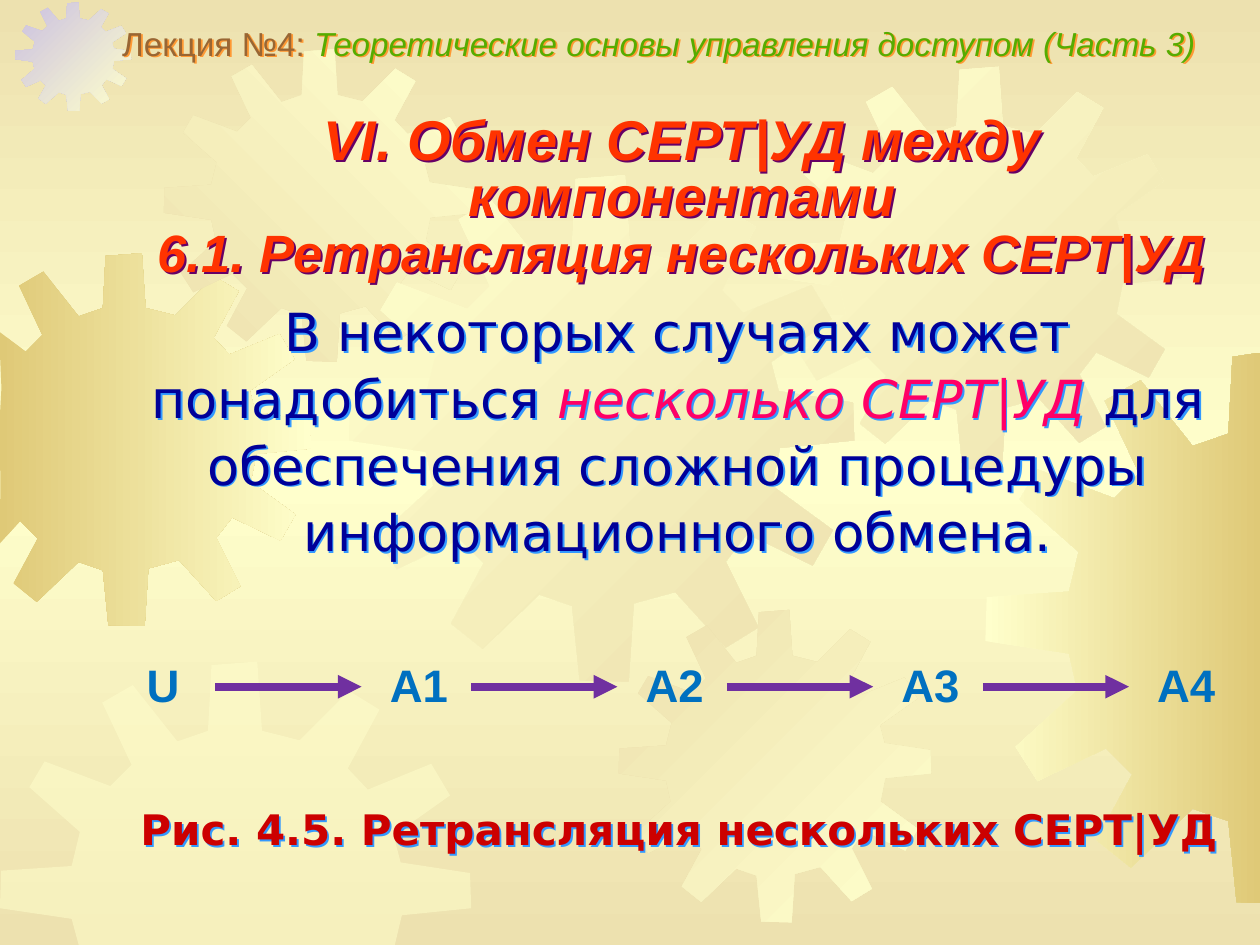
from copy import deepcopy

from lxml.etree import SubElement
from pptx import Presentation
from pptx.dml.color import RGBColor
from pptx.enum.shapes import MSO_CONNECTOR
from pptx.enum.text import MSO_ANCHOR, MSO_AUTO_SIZE, PP_ALIGN
from pptx.oxml.ns import qn
from pptx.util import Inches, Pt

SLIDE_W, SLIDE_H = 10, 7.5

SAND = RGBColor(0xED, 0xE1, 0xAF)
CREAM = RGBColor(0xFF, 0xFF, 0xCC)
GOLD = RGBColor(0xDF, 0xC9, 0x77)
LILAC = RGBColor(0xCA, 0xC0, 0xE2)
NAVY = RGBColor(0x00, 0x00, 0x99)
PINK = RGBColor(0xFF, 0x00, 0x66)
ORANGE_RED = RGBColor(0xFF, 0x33, 0x00)
BROWN = RGBColor(0x99, 0x66, 0x33)
GREEN = RGBColor(0x56, 0xAC, 0x00)
BLUE = RGBColor(0x00, 0x70, 0xC0)
PURPLE = RGBColor(0x70, 0x30, 0xA0)
RED = RGBColor(0xCC, 0x00, 0x00)
PLUM_SHADOW = RGBColor(0x66, 0x00, 0x66)
BLUE_SHADOW = RGBColor(0x33, 0x99, 0xFF)
ORANGE_SHADOW = RGBColor(0xFF, 0x99, 0x33)

GEAR_SIZE = 401
GEAR_OUTLINE = [
    (255, 67), (223, 59), (219, 0), (180, 3), (177, 59), (151, 68),
    (113, 20), (87, 35), (112, 88), (94, 106), (38, 85), (25, 107),
    (68, 145), (61, 174), (1, 178), (0, 210), (61, 219), (67, 246),
    (22, 287), (38, 312), (88, 288), (107, 307), (81, 355), (106, 375),
    (151, 332), (177, 341), (183, 400), (222, 401), (226, 339), (259, 330),
    (299, 374), (325, 358), (299, 306), (316, 284), (368, 309), (384, 281),
    (336, 246), (342, 216), (401, 210), (400, 180), (341, 171), (335, 148),
    (383, 114), (367, 87), (313, 109), (296, 91), (323, 41), (297, 25),
]
GEARS = [
    ((-0.49, 2.01, 2.96, 2.96), (GOLD, CREAM), 0),
    ((0.12, 0.02, 0.92, 0.86), (LILAC, CREAM), 45),
    ((1.3, 0.39, 2.48, 2.48), (SAND, CREAM), 315),
    ((2.77, 1.39, 4.01, 4.02), (CREAM, SAND), 45),
    ((0, 5.25, 3.74, 3.74), (CREAM,), 0),
    ((4.91, 4.84, 2.48, 2.48), (SAND, CREAM), 45),
    ((6.18, 0.53, 3.2, 3.2), (CREAM, SAND), 45),
    ((7.82, 2.8, 4.37, 4.37), (CREAM, GOLD), 0),
]


def set_gradient(fill, colors, angle):
    fill.gradient()
    fill.gradient_angle = (360 - angle) % 360
    for stop, color in zip(fill.gradient_stops, colors):
        stop.color.rgb = color


def paint_background(slide):
    fill = slide.background.fill
    set_gradient(fill, (SAND, CREAM), 90)
    stops = slide._element.find(".//" + qn("a:gsLst"))
    stops.append(deepcopy(stops[0]))
    stops[1].set("pos", "50000")
    stops[2].set("pos", "100000")


def add_gear(shapes, box, colors, angle):
    left, top, width, height = box
    points = [
        (Inches(min(max(left + x * width / GEAR_SIZE, 0), SLIDE_W)),
         Inches(min(max(top + y * height / GEAR_SIZE, 0), SLIDE_H)))
        for x, y in GEAR_OUTLINE
    ]
    builder = shapes.build_freeform(*points[0])
    builder.add_line_segments(points[1:], close=True)
    gear = builder.convert_to_shape()
    gear.shadow.inherit = False
    gear.line.fill.background()
    if len(colors) > 1:
        set_gradient(gear.fill, colors, angle)
    else:
        gear.fill.solid()
        gear.fill.fore_color.rgb = colors[0]
        color = gear._element.spPr.find(".//" + qn("a:srgbClr"))
        SubElement(color, qn("a:alpha"), val="50000")


def add_shadow(shape, color):
    effects = SubElement(shape._element.spPr, qn("a:effectLst"))
    shadow = SubElement(effects, qn("a:outerShdw"),
                        dist=str(Inches(0.02)), dir="2700000", algn="ctr")
    SubElement(shadow, qn("a:srgbClr"), val=str(color))


def add_text(shapes, box, paragraphs, anchor=MSO_ANCHOR.MIDDLE,
             align=PP_ALIGN.CENTER, spacing=None, shadow=None):
    s = shapes.add_textbox(*map(Inches, box))
    tf = s.text_frame
    frame_format = {
        "word_wrap": True, "vertical_anchor": anchor,
        "auto_size": MSO_AUTO_SIZE.SHAPE_TO_FIT_TEXT,
        "margin_left": 0, "margin_right": 0, "margin_top": 0, "margin_bottom": 0,
    }
    for name, value in frame_format.items():
        setattr(tf, name, value)
    for i, runs in enumerate(paragraphs):
        p = tf.add_paragraph() if i else tf.paragraphs[0]
        p.alignment = align
        p.line_spacing = spacing
        for text, color, font in runs:
            r = p.add_run()
            r.text = text
            r.font.color.rgb = color
            for name, value in font.items():
                setattr(r.font, name, value)
    if shadow:
        add_shadow(s, shadow)


def add_header(shapes, box):
    font = {"name": "Arial", "size": Pt(19)}
    runs = [("Лекция №4: ", BROWN, font),
            ("Теоретические основы управления доступом (Часть 3)", GREEN,
             {**font, "italic": True})]
    add_text(shapes, box, [runs], align=PP_ALIGN.LEFT, spacing=0.9,
             shadow=ORANGE_SHADOW)


def add_title(shapes, box):
    font = {"name": "Arial", "bold": True, "italic": True}
    lines = [("VI. Обмен СЕРТ|УД между компонентами", 32),
             ("6.1. Ретрансляция нескольких СЕРТ|УД", 30)]
    paragraphs = [[(text, ORANGE_RED, {**font, "size": Pt(size)})]
                  for text, size in lines]
    add_text(shapes, box, paragraphs, anchor=MSO_ANCHOR.BOTTOM,
             spacing=Pt(32), shadow=PLUM_SHADOW)


def add_body(shapes, box):
    font = {"name": "DejaVu Sans", "size": Pt(30)}
    runs = [("В некоторых случаях может понадобиться ", NAVY, font),
            ("несколько СЕРТ|УД ", PINK, {**font, "italic": True}),
            ("для обеспечения сложной процедуры информационного обмена.",
             NAVY, font)]
    add_text(shapes, box, [runs], spacing=Pt(38), shadow=BLUE_SHADOW)


def add_arrow(shapes, start, end, y):
    arrow = shapes.add_connector(MSO_CONNECTOR.STRAIGHT, Inches(start),
                                 Inches(y), Inches(end), Inches(y))
    arrow.line.color.rgb = PURPLE
    arrow.line.width = Pt(4.5)
    SubElement(arrow.line._get_or_add_ln(), qn("a:tailEnd"), type="triangle")
    SubElement(arrow._element.spPr, qn("a:effectLst"))


def add_chain(shapes, box):
    left, top, width, height = box
    group = shapes.add_group_shape().shapes
    nodes = ["U", "A1", "A2", "A3", "A4"]
    node_w = 0.57
    step = (width - node_w) / (len(nodes) - 1)
    font = {"name": "Arial", "size": Pt(26), "bold": True}
    for i, node in enumerate(nodes):
        x = left + i * step
        add_text(group, (x, top, node_w, height), [[(node, BLUE, font)]])
        if i < len(nodes) - 1:
            add_arrow(group, x + 0.7, x + 1.86, top + 0.24)


def add_caption(shapes, box):
    font = {"name": "DejaVu Sans", "size": Pt(24), "bold": True}
    add_text(shapes, box,
             [[("Рис. 4.5. Ретрансляция нескольких СЕРТ|УД", RED, font)]],
             shadow=BLUE_SHADOW)


def main():
    prs = Presentation()
    prs.slide_width, prs.slide_height = Inches(SLIDE_W), Inches(SLIDE_H)
    slide = prs.slides.add_slide(prs.slide_layouts[6])
    paint_background(slide)
    for box, colors, angle in GEARS:
        add_gear(slide.shapes, box, colors, angle)
    add_body(slide.shapes, (1.01, 2.34, 8.74, 2.13))
    add_title(slide.shapes, (0.83, 0.9, 9.17, 1.35))
    add_header(slide.shapes, (0.97, 0.21, 9.03, 0.3))
    add_chain(slide.shapes, (1.01, 5.21, 8.69, 0.44))
    add_caption(slide.shapes, (1.06, 6.38, 8.66, 0.4))
    prs.save("out.pptx")


if __name__ == "__main__":
    main()
